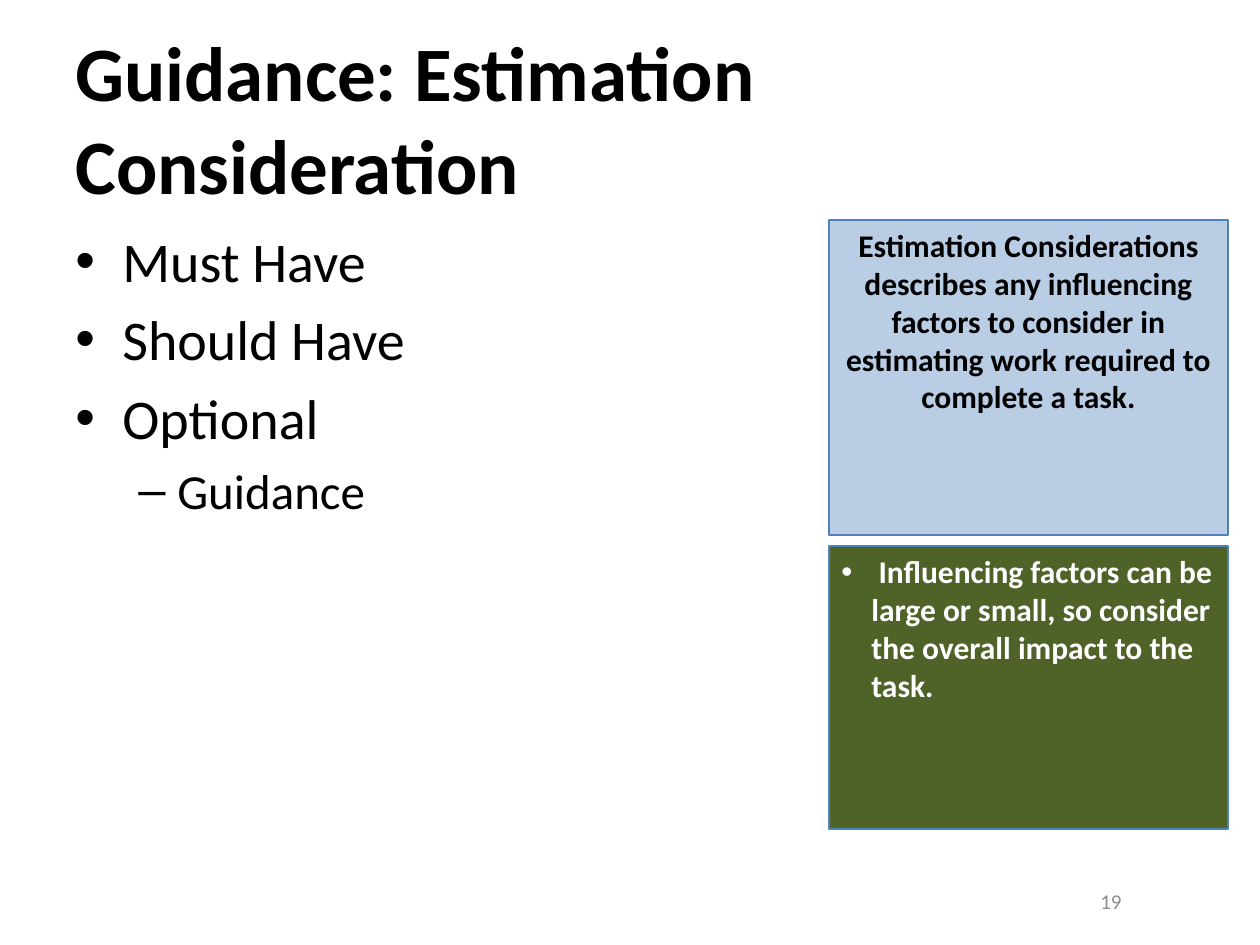
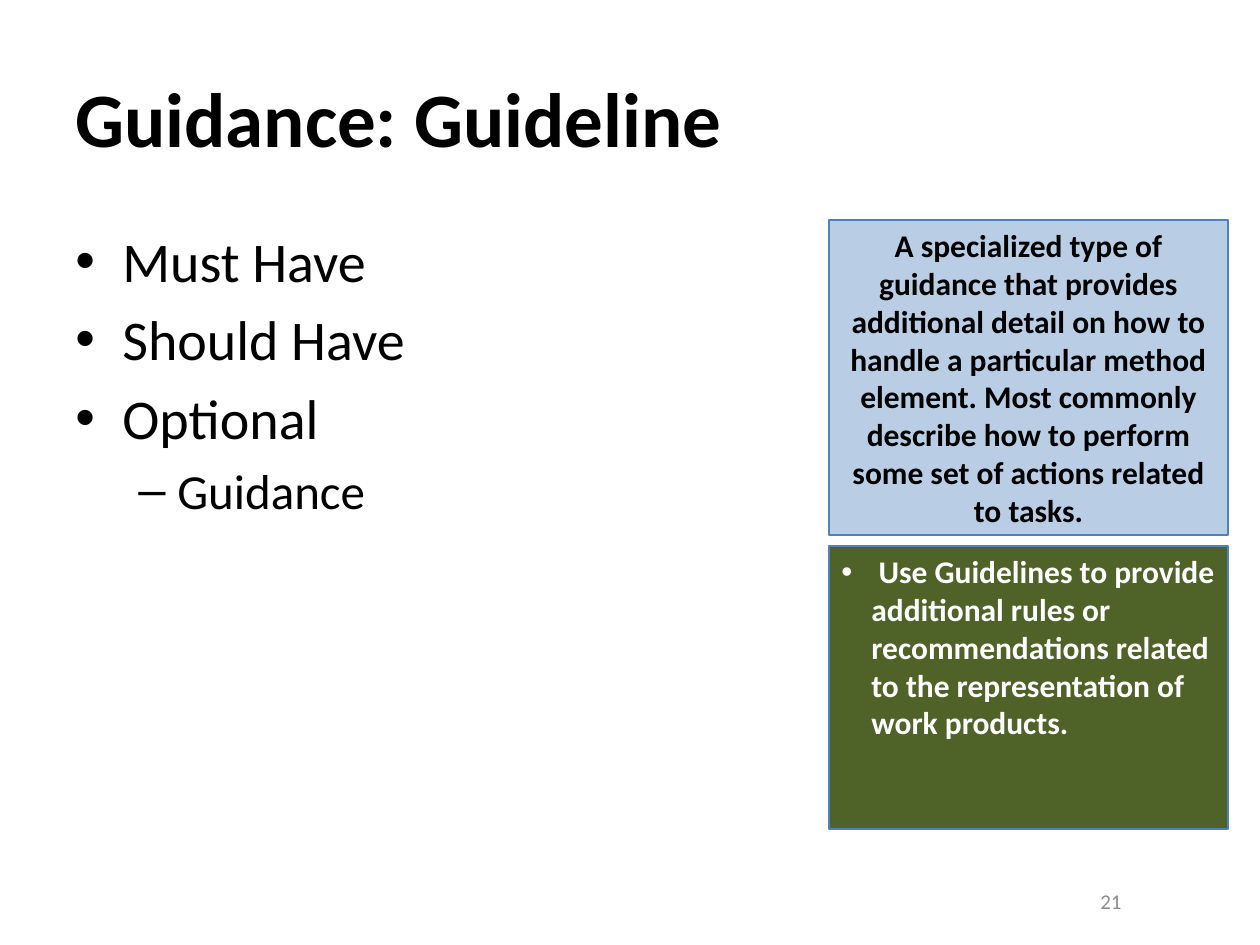
import pptx
import pptx.util
import pptx.dml.color
import pptx.enum.shapes
import pptx.enum.text
from lxml import etree

RGBColor = pptx.dml.color.RGBColor
ALIGN = pptx.enum.text.PP_ALIGN
ANCHOR = pptx.enum.text.MSO_ANCHOR

SLIDES = [
    {
        "title": "Guidance: Estimation Consideration",
        "number": "19",
        "definition": "Estimation Considerations describes any influencing factors to consider "
                      "in estimating work required to complete a task.",
        "advice": " Influencing factors can be large or small, so consider the overall impact "
                  "to the task.",
    },
    {
        "title": "Guidance: Guideline",
        "number": "21",
        "definition": "A specialized type of guidance that provides additional detail on how to "
                      "handle a particular method element. Most commonly describe how to perform "
                      "some set of actions related to tasks.",
        "advice": " Use Guidelines to provide additional rules or recommendations related to the "
                  "representation of work products.",
    },
]
REQUIREMENTS = [("Must Have", 0), ("Should Have", 0), ("Optional", 0), ("Guidance", 1)]
LEVELS = [
    {"size": 32, "bullet": ("•", 47, 47)},
    {"size": 28, "bullet": ("–", 102, 39)},
]
ADVICE_BULLET = ("•", 30, 30)

FONT = "Calibri"
BLACK = RGBColor(0x00, 0x00, 0x00)
WHITE = RGBColor(0xFF, 0xFF, 0xFF)
GREY = RGBColor(0x8C, 0x8C, 0x8C)
LIGHT_BLUE = RGBColor(0xB9, 0xCD, 0xE5)
DARK_GREEN = RGBColor(0x4F, 0x62, 0x28)
BORDER_BLUE = RGBColor(0x4F, 0x81, 0xBD)

PX_PER_INCH = 126
SLIDE_SIZE = (1260, 945)
TITLE_AREA = (63, 38, 1134, 158)
NUMBER_AREA = (903, 876, 231, 50)
BODY_AREA = (63, 220, 756, 609)
PANEL_LEFT, PANEL_WIDTH = 829, 399
DEFINITION_HEIGHT, PANEL_GAP = 315, 11


def px(length):
    return pptx.util.Inches(length / PX_PER_INCH)


def add_bullet(paragraph, character, margin, hanging):
    properties = paragraph._p.get_or_add_pPr()
    properties.set("marL", str(px(margin)))
    properties.set("indent", str(-px(hanging)))
    namespace = properties.nsmap["a"]
    font = etree.SubElement(properties, f"{{{namespace}}}buFont")
    font.set("typeface", "Arial")
    bullet = etree.SubElement(properties, f"{{{namespace}}}buChar")
    bullet.set("char", character)


def write(paragraph, text, size, color=BLACK, bold=False, align=ALIGN.LEFT, bullet=None):
    paragraph.text = text
    paragraph.alignment = align
    if bullet:
        add_bullet(paragraph, *bullet)
    font = paragraph.runs[0].font
    font.name = FONT
    font.size = pptx.util.Pt(size)
    font.bold = bold
    font.color.rgb = color


def add_text_area(slide, area, anchor):
    frame = slide.shapes.add_textbox(*map(px, area)).text_frame
    frame.word_wrap = True
    frame.vertical_anchor = anchor
    return frame


def add_requirements(slide):
    frame = add_text_area(slide, BODY_AREA, ANCHOR.TOP)
    for index, (text, level) in enumerate(REQUIREMENTS):
        paragraph = frame.add_paragraph() if index else frame.paragraphs[0]
        style = LEVELS[level]
        paragraph.level = level
        if index:
            paragraph.space_before = pptx.util.Pt(style["size"] * 0.2)
        write(paragraph, text, style["size"], bullet=style["bullet"])


def add_panel(slide, top, height, fill, text, **style):
    area = (PANEL_LEFT, top, PANEL_WIDTH, height)
    panel = slide.shapes.add_shape(
        pptx.enum.shapes.MSO_SHAPE.RECTANGLE, *map(px, area))
    panel.shadow.inherit = False
    panel.fill.solid()
    panel.fill.fore_color.rgb = fill
    panel.line.color.rgb = BORDER_BLUE
    panel.line.width = pptx.util.Pt(0.75)
    panel.text_frame.word_wrap = True
    panel.text_frame.vertical_anchor = ANCHOR.TOP
    write(panel.text_frame.paragraphs[0], text, 18, bold=True, **style)


def build_slide(presentation, content):
    slide = presentation.slides.add_slide(presentation.slide_layouts[6])
    title = add_text_area(slide, TITLE_AREA, ANCHOR.MIDDLE)
    write(title.paragraphs[0], content["title"], 44, bold=True)
    number = add_text_area(slide, NUMBER_AREA, ANCHOR.MIDDLE)
    write(number.paragraphs[0], content["number"], 12, GREY, align=ALIGN.RIGHT)
    add_requirements(slide)
    top, height = BODY_AREA[1], BODY_AREA[3]
    offset = DEFINITION_HEIGHT + PANEL_GAP
    add_panel(slide, top, DEFINITION_HEIGHT, LIGHT_BLUE, content["definition"],
              align=ALIGN.CENTER)
    add_panel(slide, top + offset, height - offset, DARK_GREEN, content["advice"],
              color=WHITE, bullet=ADVICE_BULLET)


def main():
    presentation = pptx.Presentation()
    presentation.slide_width, presentation.slide_height = map(px, SLIDE_SIZE)
    for content in SLIDES:
        build_slide(presentation, content)
    presentation.save("out.pptx")


if __name__ == "__main__":
    main()
